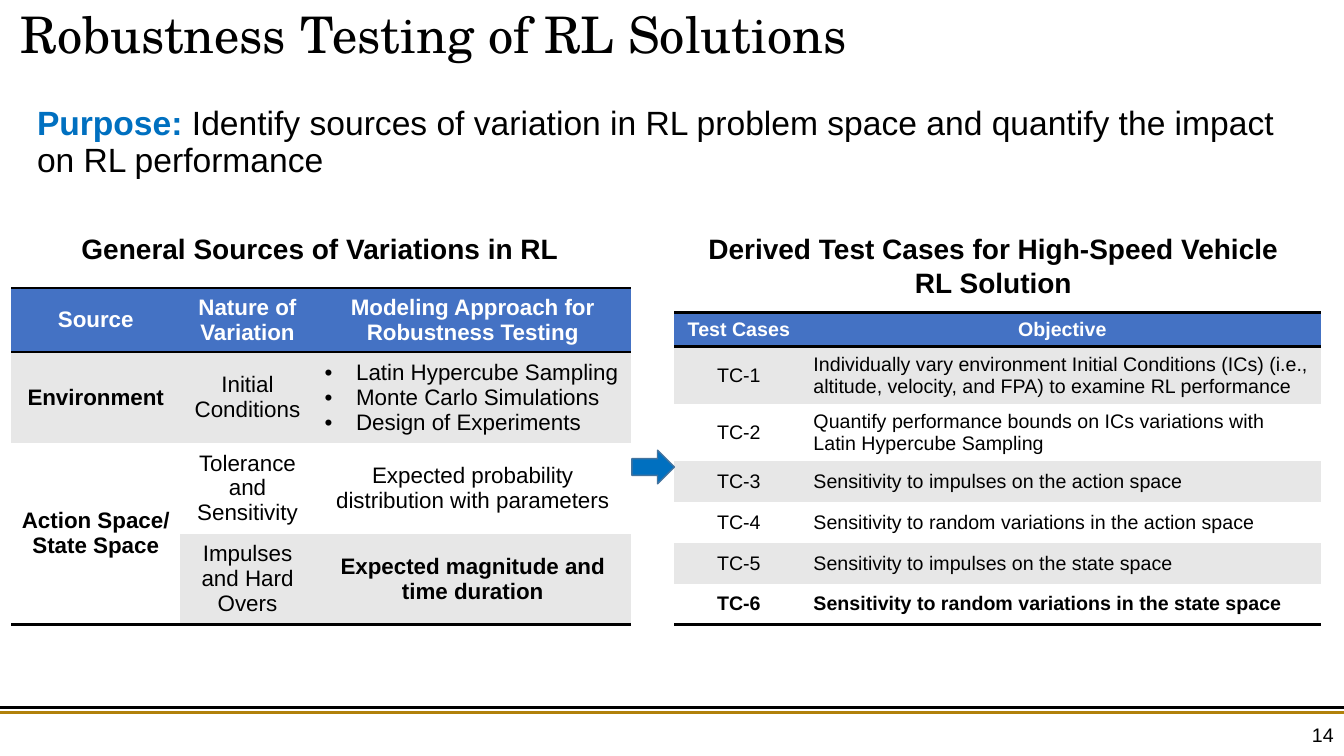
from lxml import etree
from pptx import Presentation
from pptx.dml.color import RGBColor
from pptx.enum import shapes, text
from pptx.oxml import ns
from pptx.util import Pt

# Content
TITLE = "Robustness Testing of RL Solutions"
PURPOSE = ("Purpose: ", "Identify sources of variation in RL problem space "
           "and quantify the impact on RL performance")
SOURCES_HEADING = "General Sources of Variations in RL"
CASES_HEADING = "Derived Test Cases for High-Speed Vehicle RL Solution"
PAGE = "14"
BULLETS = ("Latin Hypercube Sampling", "Monte Carlo Simulations", "Design of Experiments")

SOURCES = dict(
    at=(7.9, 205.9), cols=(121, 95.8, 226), heights=(45.6, 64.8, 64.8, 64.8), size=16,
    rows=[
        ("Source", "Nature of Variation", "Modeling Approach for Robustness Testing"),
        ("Environment", "Initial Conditions", BULLETS),
        (("Action Space/", "State Space"), "Tolerance and Sensitivity",
         "Expected probability distribution with parameters"),
        ("", "Impulses and Hard Overs", "Expected magnitude and time duration"),
    ],
    bold={(1, 0), (2, 0), (3, 2)}, left={(1, 2)}, merge=((2, 0), (3, 0)))

CASES = dict(
    at=(481.7, 223.2), cols=(92.2, 370), heights=(24.4, 40.9, 40.9) + (29.2,) * 4, size=14,
    rows=[
        ("Test Cases", "Objective"),
        ("TC-1", "Individually vary environment Initial Conditions (ICs) (i.e., "
                 "altitude, velocity, and FPA) to examine RL performance"),
        ("TC-2", "Quantify performance bounds on ICs variations with Latin Hypercube Sampling"),
        ("TC-3", "Sensitivity to impulses on the action space"),
        ("TC-4", "Sensitivity to random variations in the action space"),
        ("TC-5", "Sensitivity to impulses on the state space"),
        ("TC-6", "Sensitivity to random variations in the state space"),
    ],
    bold={(6, 0), (6, 1)}, left={(r, 1) for r in range(1, 7)}, merge=None)

BLACK, WHITE, BLUE = "000000", "FFFFFF", "0070C0"
HEADER, BAND, GOLD = "4472C4", "E7E7E7", "B1810B"
PLAIN_STYLE = "{2D5ABB26-0587-4C30-8999-92F81FD0307C}"
LEFT, CENTER, RIGHT = text.PP_ALIGN.LEFT, text.PP_ALIGN.CENTER, text.PP_ALIGN.RIGHT
MIDDLE = text.MSO_ANCHOR.MIDDLE


# Helpers
def color(fmt, value):
    fmt.rgb = RGBColor.from_string(value)


def fill(obj, value):
    obj.fill.solid()
    color(obj.fill.fore_color, value)


def add_run(p, words, size, ink=BLACK, bold=False, font="Arial"):
    r = p.add_run()
    r.text = words
    r.font.name, r.font.size, r.font.bold = font, Pt(size), bold
    color(r.font.color, ink)


def add_box(s, x, y, w, h, wrap=True, align=LEFT):
    tf = s.shapes.add_textbox(Pt(x), Pt(y), Pt(w), Pt(h)).text_frame
    tf.word_wrap = wrap
    tf.paragraphs[0].alignment = align
    return tf


def add_bullet(p):
    pPr = p._p.get_or_add_pPr()
    pPr.set("marL", str(Pt(22.5)))
    pPr.set("indent", str(-Pt(22.5)))
    etree.SubElement(pPr, ns.qn("a:buFont"), typeface="Arial")
    etree.SubElement(pPr, ns.qn("a:buChar"), char="•")


def add_border(cell, side):
    tcPr = cell._tc.get_or_add_tcPr()
    ln = etree.SubElement(tcPr, ns.qn("a:" + side), w=str(Pt(2)))
    solid = etree.SubElement(ln, ns.qn("a:solidFill"))
    etree.SubElement(solid, ns.qn("a:srgbClr"), val=BLACK)


def add_rule(s, y, ink):
    line = s.shapes.add_connector(shapes.MSO_CONNECTOR.STRAIGHT, 0, Pt(y), Pt(960), Pt(y))
    color(line.line.color, ink)
    line.line.width = Pt(2.25)
    etree.SubElement(line._element.spPr, ns.qn("a:effectLst"))


def add_grid(s, at, cols, heights, size, rows, bold, left, merge):
    frame = s.shapes.add_table(len(rows), len(cols), Pt(at[0]), Pt(at[1]),
                               Pt(sum(cols)), Pt(sum(heights)))
    table = frame.table
    table.first_row = table.horz_banding = False
    table._tbl.tblPr.find(ns.qn("a:tableStyleId")).text = PLAIN_STYLE
    for col, w in zip(table.columns, cols):
        col.width = Pt(w)
    for row, h in zip(table.rows, heights):
        row.height = Pt(h)
    if merge:
        table.cell(*merge[0]).merge(table.cell(*merge[1]))
    for i, row in enumerate(rows):
        for j, content in enumerate(row):
            cell = table.cell(i, j)
            cell.vertical_anchor = MIDDLE
            if i == 0:
                add_border(cell, "lnT")
            last = i == len(rows) - 1 or (merge and (i, j) == merge[0])
            if i == 0 or last:
                add_border(cell, "lnB")
            striped = i % 2 and not cell.is_spanned
            fill(cell, HEADER if i == 0 else BAND if striped else WHITE)
            lines = (content,) if isinstance(content, str) else content
            for n, words in enumerate(lines):
                tf = cell.text_frame
                p = tf.add_paragraph() if n else tf.paragraphs[0]
                p.alignment = LEFT if (i, j) in left else CENTER
                if content is BULLETS:
                    add_bullet(p)
                if words:
                    add_run(p, words, size, BLACK if i else WHITE, i == 0 or (i, j) in bold)


prs = Presentation()
prs.slide_width, prs.slide_height = Pt(960), Pt(540)
s = prs.slides.add_slide(prs.slide_layouts[6])

# Footer rules
for y, ink in ((505.4, BLACK), (509, GOLD)):
    add_rule(s, y, ink)

# Title and purpose
tf = add_box(s, 0, 0, 960, 52.6)
tf.vertical_anchor = MIDDLE
tf.margin_left = Pt(14.4)
tf.paragraphs[0].line_spacing = 0.9
add_run(tf.paragraphs[0], TITLE, 36, font="TeX Gyre Schola")

p = add_box(s, 19.4, 72.7, 906, 64).paragraphs[0]
p.line_spacing, p.space_before = 0.9, Pt(10)
add_run(p, PURPOSE[0], 24, BLUE, True)
add_run(p, PURPOSE[1], 24)

# Page number
tf = add_box(s, 743.8, 510.5, 216, 28.8, align=RIGHT)
tf.vertical_anchor = MIDDLE
add_run(tf.paragraphs[0], PAGE, 14)

# Table headings
tf = add_box(s, 51.1, 162, 357.8, 31.5, wrap=False)
add_run(tf.paragraphs[0], SOURCES_HEADING, 20, bold=True)
tf = add_box(s, 496.8, 162, 425.5, 55.7, align=CENTER)
add_run(tf.paragraphs[0], CASES_HEADING, 20, bold=True)

# Tables and the arrow between them
add_grid(s, **SOURCES)
add_grid(s, **CASES)

sp = s.shapes.add_shape(shapes.MSO_SHAPE.RIGHT_ARROW, Pt(451.4), Pt(321.6), Pt(30.3), Pt(24))
sp.shadow.inherit = False
fill(sp, BLUE)
color(sp.line.color, "43739E")
sp.line.width = Pt(1)

prs.save("out.pptx")
